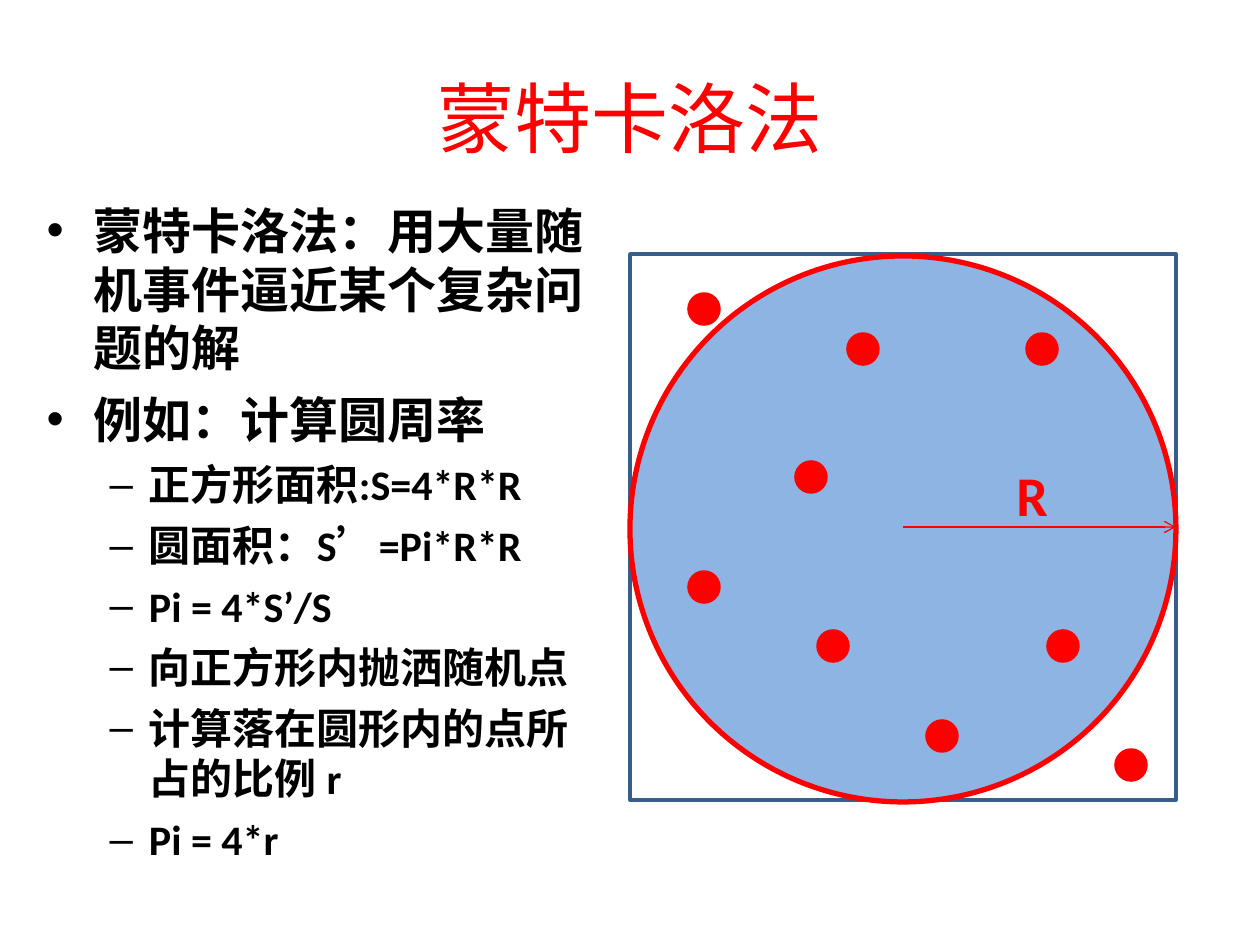
from lxml import etree
from pptx import Presentation, util as u
from pptx.dml.color import RGBColor
from pptx.enum import shapes, text
from pptx.oxml import ns

PX = u.Inches(1) // 126
RED = RGBColor(0xFF, 0x00, 0x00)
BLACK = RGBColor(0x00, 0x00, 0x00)
NAVY = RGBColor(0x38, 0x5D, 0x8A)
SKY = RGBColor(0x8E, 0xB4, 0xE3)
FONT = "Calibri"

TITLE = "蒙特卡洛法"
# Level, space before in points, wording
POINTS = [
    (0, 30, "蒙特卡洛法：用大量随机事件逼近某个复杂问题的解"),
    (0, 7, "例如：计算圆周率"),
    (1, 6, "正方形面积:S=4*R*R"),
    (1, 6, "圆面积：S’=Pi*R*R"),
    (1, 6, "Pi = 4*S’/S"),
    (1, 6, "向正方形内抛洒随机点"),
    (1, 6, "计算落在圆形内的点所占的比例 r"),
    (1, 6, "Pi = 4*r"),
]
LEVEL_SIZES = (28, 24)

# Square, its inscribed circle and the random points
LEFT, TOP, SIDE = 630, 254, 546
DOT = 30
DOTS = [(689, 294), (796, 462), (818, 631), (1027, 334), (1048, 631),
        (1116, 750), (927, 721), (689, 572), (848, 334)]


def px(*values):
    return [u.Emu(v * PX) for v in values]


def place(sp, *box):
    sp.left, sp.top, sp.width, sp.height = px(*box)


def format_runs(p, size, color, bold=None):
    for r in p.runs:
        r.font.name = FONT
        r.font.size = u.Pt(size)
        r.font.bold = bold
        r.font.color.rgb = color


def fill_title(sp):
    place(sp, 63, 38, 1134, 157)
    p = sp.text_frame.paragraphs[0]
    p.text = TITLE
    p.alignment = text.PP_ALIGN.CENTER
    format_runs(p, 44, RED)


def fill_body(sp):
    place(sp, 34, 194, 566, 694)
    tf = sp.text_frame
    tf.auto_size = text.MSO_AUTO_SIZE.NONE
    tf.text = "\n".join(words for _, _, words in POINTS)
    for p, (level, before, _) in zip(tf.paragraphs, POINTS):
        p.level = level
        p.space_before = u.Pt(before)
        format_runs(p, LEVEL_SIZES[level], BLACK, True)


def add_outline(s, kind, box, line, width, fill=None):
    sp = s.shapes.add_shape(kind, *px(*box))
    sp.shadow.inherit = False
    sp.line.color.rgb = line
    sp.line.width = u.Pt(width)
    if fill is None:
        sp.fill.background()
    else:
        sp.fill.solid()
        sp.fill.fore_color.rgb = fill
    return sp


def add_radius(s, square):
    middle = TOP + SIDE // 2
    cx = s.shapes.add_connector(
        shapes.MSO_CONNECTOR.STRAIGHT,
        *px(LEFT + SIDE // 2, middle, LEFT + SIDE, middle))
    cx.end_connect(square, 3)
    cx.line.color.rgb = RED
    cx.line.width = u.Pt(0.75)
    etree.SubElement(cx.line._get_or_add_ln(), ns.qn("a:tailEnd"), type="arrow")
    etree.SubElement(cx._element.spPr, ns.qn("a:effectLst"))


def add_label(s, words, box):
    tf = s.shapes.add_textbox(*px(*box)).text_frame
    tf.word_wrap = True
    tf.text = words
    format_runs(tf.paragraphs[0], 32, RED, True)


def main():
    prs = Presentation()
    prs.slide_width, prs.slide_height = u.Inches(10), u.Inches(7.5)
    s = prs.slides.add_slide(prs.slide_layouts[1])

    # Title and list
    fill_title(s.shapes.title)
    fill_body(s.placeholders[1])

    # Circle in a square, with its radius
    box = (LEFT, TOP, SIDE, SIDE)
    oval = shapes.MSO_SHAPE.OVAL
    square = add_outline(s, shapes.MSO_SHAPE.RECTANGLE, box, NAVY, 2)
    add_outline(s, oval, (LEFT, TOP + 2, SIDE, SIDE), RED, 3, SKY)
    add_radius(s, square)
    add_label(s, "R", (1004, 454, 63, 81))

    # Random points
    for x, y in DOTS:
        add_outline(s, oval, (x, y, DOT, DOT), RED, 2, RED)

    prs.save("out.pptx")


if __name__ == "__main__":
    main()
